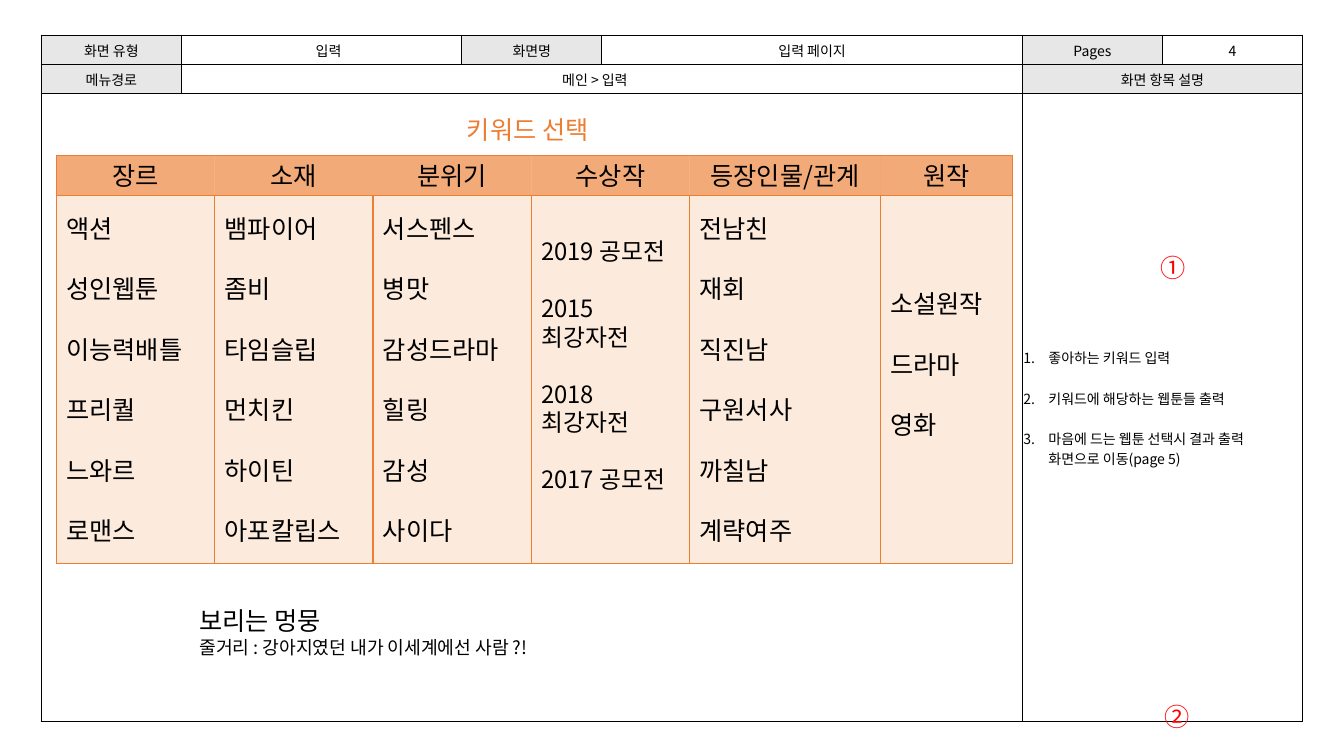
from itertools import accumulate

from lxml.etree import SubElement
from pptx import Presentation
from pptx.dml.color import RGBColor
from pptx.enum.shapes import MSO_SHAPE
from pptx.enum.text import MSO_ANCHOR, MSO_AUTO_SIZE, PP_ALIGN
from pptx.oxml import parse_xml
from pptx.oxml.ns import nsdecls, qn
from pptx.util import Inches, Pt

FONT = "Noto Sans CJK KR"
BLACK, WHITE, GRAY, ORANGE, RED = "000000", "FFFFFF", "E7E7E7", "ED7D31", "FF0000"

FRAME_UNITS = [1, 2, 1, 3, 1, 1]
FRAME_ROWS = [0.29, 0.29, 6.23]
# row, column, last column, text, fill
FRAME_CELLS = [
    (0, 0, 0, "화면 유형", GRAY),
    (0, 1, 1, "　입력", WHITE),
    (0, 2, 2, "화면명", GRAY),
    (0, 3, 3, "입력 페이지", WHITE),
    (0, 4, 4, "Pages", GRAY),
    (0, 5, 5, "4", WHITE),
    (1, 0, 0, "메뉴경로", GRAY),
    (1, 1, 3, "메인 > 입력　", WHITE),
    (1, 4, 5, "화면 항목 설명", GRAY),
    (2, 0, 3, "", WHITE),
    (2, 4, 5, "", WHITE),
]
NOTES = [
    "좋아하는 키워드 입력",
    "키워드에 해당하는 웹툰들 출력",
    "마음에 드는 웹툰 선택시 결과 출력 화면으로 이동(page 5)",
]
# heading, width, text size, lines kept free below, keywords
KEYWORDS = [
    ("장르", 1.57, 18, 0, ["액션", "성인웹툰", "이능력배틀", "프리퀄", "느와르", "로맨스"]),
    ("소재", 1.57, 18, 0, ["뱀파이어", "좀비", "타임슬립", "먼치킨", "하이틴", "아포칼립스"]),
    ("분위기", 1.57, 18, 0, ["서스펜스", "병맛", "감성드라마", "힐링", "감성", "사이다"]),
    ("수상작", 1.57, 17, 1, ["2019 공모전", "2015 최강자전", "2018 최강자전", "2017 공모전"]),
    ("등장인물/관계", 1.89, 18, 0, ["전남친", "재회", "직진남", "구원서사", "까칠남", "계략여주"]),
    ("원작", 1.31, 18, 1, ["소설원작", "드라마", "영화"]),
]


def rgb(color):
    return RGBColor.from_string(color)


def write(paragraph, text, size, color=BLACK, align=PP_ALIGN.LEFT):
    paragraph.alignment = align
    run = paragraph.add_run()
    run.text = text
    run.font.size = Pt(size)
    run.font.name = FONT
    run.font.color.rgb = rgb(color)
    SubElement(run.font._element, qn("a:ea")).set("typeface", FONT)


def write_list(frame, items, size, gap):
    """Write one paragraph per item, with gap points between them."""
    for index, item in enumerate(items):
        paragraph = frame.add_paragraph() if index else frame.paragraphs[0]
        if index:
            paragraph.space_before = Pt(gap)
        write(paragraph, item, size)


def number(paragraph):
    properties = paragraph._p.get_or_add_pPr()
    properties.set("marL", str(Inches(0.25)))
    properties.set("indent", str(-Inches(0.25)))
    SubElement(properties, qn("a:buFont")).set("typeface", FONT)
    SubElement(properties, qn("a:buAutoNum")).set("type", "arabicPeriod")


def add_borders(cell):
    properties = cell._tc.get_or_add_tcPr()
    for index, side in enumerate("LRTB"):
        properties.insert(index, parse_xml(
            f'<a:ln{side} {nsdecls("a")} w="{Pt(1)}"><a:solidFill>'
            f'<a:srgbClr val="{BLACK}"/></a:solidFill></a:ln{side}>'))


def add_frame(slide, left, top, width):
    table = slide.shapes.add_table(
        len(FRAME_ROWS), len(FRAME_UNITS), Inches(left), Inches(top),
        Inches(width), Inches(sum(FRAME_ROWS))).table
    for column, units in zip(table.columns, FRAME_UNITS):
        column.width = Inches(width * units / sum(FRAME_UNITS))
    for row, height in zip(table.rows, FRAME_ROWS):
        row.height = Inches(height)
    for row, first, last, text, fill in FRAME_CELLS:
        cell = table.cell(row, first)
        if last > first:
            cell.merge(table.cell(row, last))
        cell.vertical_anchor = MSO_ANCHOR.MIDDLE
        cell.margin_left = cell.margin_right = cell.margin_top = Inches(0.01)
        cell.margin_bottom = 0
        if text:
            write(cell.text_frame.paragraphs[0], text, 10, align=PP_ALIGN.CENTER)
        for column in range(first, last + 1):
            part = table.cell(row, column)
            part.fill.solid()
            part.fill.fore_color.rgb = rgb(fill)
            add_borders(part)
    description = table.cell(2, 4)
    description.margin_right = Inches(0.1)
    write_list(description.text_frame, NOTES, 10, 14.4)
    for paragraph in description.text_frame.paragraphs:
        number(paragraph)


def add_title(slide, left, top, width, height):
    title = slide.shapes.title
    title.left, title.top, title.width, title.height = map(
        Inches, (left, top, width, height))
    frame = title.text_frame
    frame.auto_size = MSO_AUTO_SIZE.NONE
    frame.word_wrap = False
    frame.vertical_anchor = MSO_ANCHOR.TOP
    write(frame.paragraphs[0], "키워드 선택", 18, ORANGE)
    slide.shapes._spTree.append(title._element)  # bring in front of the table


def add_text_box(slide, left, top, width, height, wrap):
    frame = slide.shapes.add_textbox(*map(Inches, (left, top, width, height))).text_frame
    frame.word_wrap = wrap
    return frame


def add_marker(slide, left, top, sign):
    frame = add_text_box(slide, left, top, 0.45, 0.4, False)
    write(frame.paragraphs[0], sign, 18, RED)


def add_rectangle(slide, left, top, width, height, opacity=0, outlined=True):
    """Add an orange rectangle; opacity is a percentage, 0 leaves it unfilled."""
    shape = slide.shapes.add_shape(
        MSO_SHAPE.RECTANGLE, *map(Inches, (left, top, width, height)))
    shape.shadow.inherit = False
    if opacity:
        shape.fill.solid()
        shape.fill.fore_color.rgb = rgb(ORANGE)
        color = shape.fill._xPr.find(qn("a:solidFill"))[0]
        SubElement(color, qn("a:alpha")).set("val", str(opacity * 1000))
    else:
        shape.fill.background()
    if outlined:
        shape.line.color.rgb = rgb(ORANGE)
        shape.line.width = Pt(1)
    else:
        shape.line.fill.background()
    shape.text_frame.word_wrap = True
    return shape.text_frame


def add_keyword_panel(slide, left, top, height, heading_height):
    widths = [width for _, width, *_ in KEYWORDS]
    lefts = list(accumulate(widths[:-1], initial=left))
    add_rectangle(slide, left, top, sum(widths), height, opacity=16)
    for column_left, (heading, width, *_) in zip(lefts, KEYWORDS):
        frame = add_rectangle(slide, column_left, top, width, heading_height,
                              opacity=58, outlined=False)
        frame.vertical_anchor = MSO_ANCHOR.MIDDLE
        write(frame.paragraphs[0], heading, 18, align=PP_ALIGN.CENTER)
    for column_left, (_, width, size, free_lines, words) in zip(lefts, KEYWORDS):
        line = size * 1.2
        frame = add_rectangle(slide, column_left, top + heading_height, width,
                              height - heading_height)
        frame.vertical_anchor = MSO_ANCHOR.MIDDLE
        frame.margin_bottom = Inches(0.05) + Pt(free_lines * line)
        write_list(frame, words, size, line)


def add_result(slide, left, top, width, height):
    frame = add_text_box(slide, left, top, width, height, True)
    write(frame.paragraphs[0], "보리는 멍뭉", 18)
    write(frame.add_paragraph(), "줄거리 : 강아지였던 내가 이세계에선 사람 ?!", 13)


def main():
    presentation = Presentation()
    presentation.slide_width = Inches(13.33)
    presentation.slide_height = Inches(7.5)
    slide = presentation.slides.add_slide(presentation.slide_layouts[5])
    add_frame(slide, 0.41, 0.35, 12.51)
    add_marker(slide, 11.41, 2.45, "①")
    add_marker(slide, 11.45, 6.91, "②")
    add_title(slide, 4.53, 1.08, 1.55, 0.4)
    add_keyword_panel(slide, 0.56, 1.54, 4.05, 0.4)
    add_result(slide, 1.88, 5.96, 7.05, 0.84)
    presentation.save("out.pptx")


if __name__ == "__main__":
    main()
